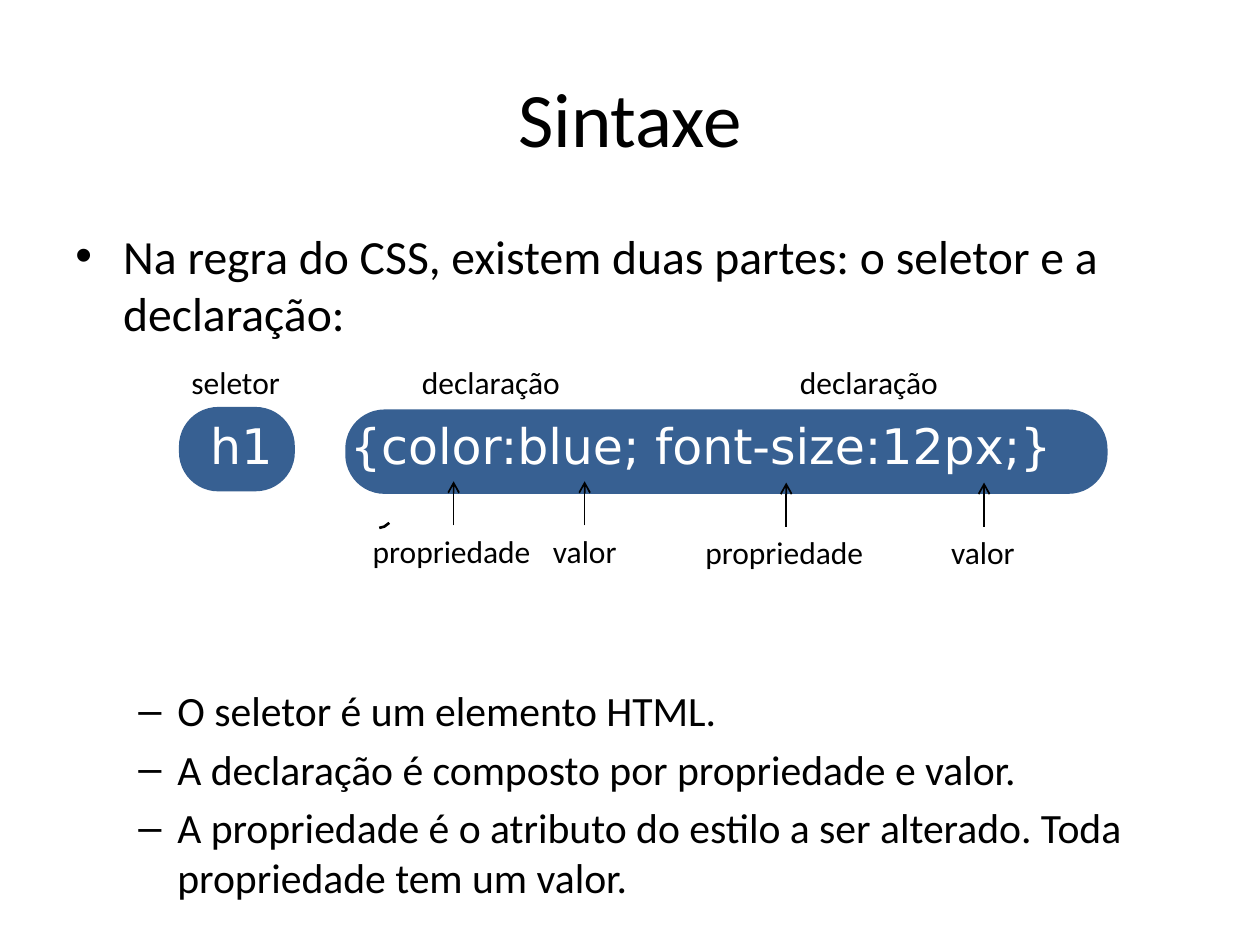
from pptx import Presentation
from pptx.dml.color import RGBColor
from pptx.enum.shapes import MSO_CONNECTOR, MSO_SHAPE
from pptx.enum.text import MSO_ANCHOR, PP_ALIGN
from pptx.oxml.ns import qn
from pptx.util import Inches, Pt
from lxml import etree

STRAIGHT = MSO_CONNECTOR.STRAIGHT
ROUNDED = MSO_SHAPE.ROUNDED_RECTANGLE
MIDDLE = MSO_ANCHOR.MIDDLE
CENTER = PP_ALIGN.CENTER

BLACK = "000000"
WHITE = "FFFFFF"
BLUE = "376092"
BODY_FONT = "Calibri"
CODE_FONT = "DejaVu Sans"


def color(value):
    return RGBColor.from_string(value)


def add_text(page, left, top, width, height, lines, size,
             font=BODY_FONT, ink=BLACK, wrap=True):
    box = page.shapes.add_textbox(
        Inches(left), Inches(top), Inches(width), Inches(height))
    frame = box.text_frame
    frame.word_wrap = wrap
    frame.text = "\n".join(lines)
    for para in frame.paragraphs:
        for span in para.runs:
            span.font.size = Pt(size)
            span.font.name = font
            span.font.color.rgb = color(ink)
    return frame


def add_title(page, left, top, width, height):
    frame = add_text(page, left, top, width, height, ["Sintaxe"], 44)
    frame.vertical_anchor = MIDDLE
    frame.paragraphs[0].alignment = CENTER


def add_bullets(page, left, top, width, height, lines, size, mark, indent, hang):
    frame = add_text(page, left, top, width, height, lines, size)
    for index, para in enumerate(frame.paragraphs):
        if index:
            para.space_before = Pt(size * 0.2)
        properties = para._p.get_or_add_pPr()
        properties.set("marL", str(Inches(indent)))
        properties.set("indent", str(-Inches(hang)))
        font = etree.SubElement(properties, qn("a:buFont"))
        font.set("typeface", "Arial")
        bullet = etree.SubElement(properties, qn("a:buChar"))
        bullet.set("char", mark)


def add_pill(page, left, top, width, height):
    pill = page.shapes.add_shape(
        ROUNDED, Inches(left), Inches(top), Inches(width), Inches(height))
    pill.adjustments[0] = 0.465
    pill.shadow.inherit = False
    pill.fill.solid()
    pill.fill.fore_color.rgb = color(BLUE)
    pill.line.fill.background()


def add_code(page, left, top, width, height):
    frame = add_text(page, left, top, width, height,
                     ["h1\t{color:blue; font-size:12px;}"], 28, CODE_FONT, WHITE)
    properties = frame.paragraphs[0]._p.get_or_add_pPr()
    stops = etree.SubElement(properties, qn("a:tabLst"))
    stop = etree.SubElement(stops, qn("a:tab"))
    stop.set("pos", str(Inches(1.11)))
    stop.set("algn", "l")


def add_arrow(page, x, bottom, length):
    arrow = page.shapes.add_connector(
        STRAIGHT, Inches(x), Inches(bottom), Inches(x), Inches(bottom - length))
    arrow.line.color.rgb = color(BLACK)
    arrow.line.width = Pt(1)
    tail = etree.SubElement(arrow.line._get_or_add_ln(), qn("a:tailEnd"))
    tail.set("type", "arrow")
    etree.SubElement(arrow._element.spPr, qn("a:effectLst"))


def add_stroke(page, left, top):
    builder = page.shapes.build_freeform(
        Inches(left), Inches(top + 0.04), scale=1.0)
    builder.add_line_segments(
        [(Inches(left + 0.04), Inches(top + 0.03)),
         (Inches(left + 0.08), Inches(top))], close=False)
    stroke = builder.convert_to_shape()
    stroke.shadow.inherit = False
    stroke.fill.background()
    stroke.line.color.rgb = color(BLACK)
    stroke.line.width = Pt(1.5)


def add_rule_diagram(page, left, top):
    add_pill(page, left, top + 0.4, 0.92, 0.67)
    add_pill(page, left + 1.32, top + 0.42, 6.05, 0.67)
    add_code(page, left + 0.15, top + 0.42, 7.21, 0.57)

    labels = [
        ("seletor", 0, 0, 0.91),
        ("declaração", 1.83, 0, 1.31),
        ("declaração", 4.83, 0, 1.31),
        ("propriedade", 1.44, 1.34, 1.47),
        ("valor", 2.87, 1.34, 0.71),
        ("propriedade", 4.08, 1.35, 1.47),
        ("valor", 6.03, 1.35, 0.71),
    ]
    for label, x, y, width in labels:
        add_text(page, left + x, top + y, width, 0.4, [label], 18, wrap=False)

    for x, bottom in [(2.18, 1.34), (3.22, 1.34), (4.82, 1.35), (6.39, 1.35)]:
        add_arrow(page, left + x, top + bottom, 0.35)
    add_stroke(page, left + 1.59, top + 1.32)


def main():
    deck = Presentation()
    deck.slide_width = Inches(10)
    deck.slide_height = Inches(7.5)
    page = deck.slides.add_slide(deck.slide_layouts[6])
    add_title(page, 0.5, 0.3, 9, 1.25)
    add_bullets(
        page, 0.5, 1.75, 9, 1.05,
        ["Na regra do CSS, existem duas partes: o seletor e a declaração:"],
        27.2, "•", 0.38, 0.38)
    add_rule_diagram(page, 1.42, 2.83)
    add_bullets(
        page, 0.5, 5.39, 9, 1.8,
        ["O seletor é um elemento HTML.",
         "A declaração é composto por propriedade e valor.",
         "A propriedade é o atributo do estilo a ser alterado. "
         "Toda propriedade tem um valor."],
        23.8, "–", 0.81, 0.31)
    deck.save("out.pptx")


if __name__ == "__main__":
    main()
